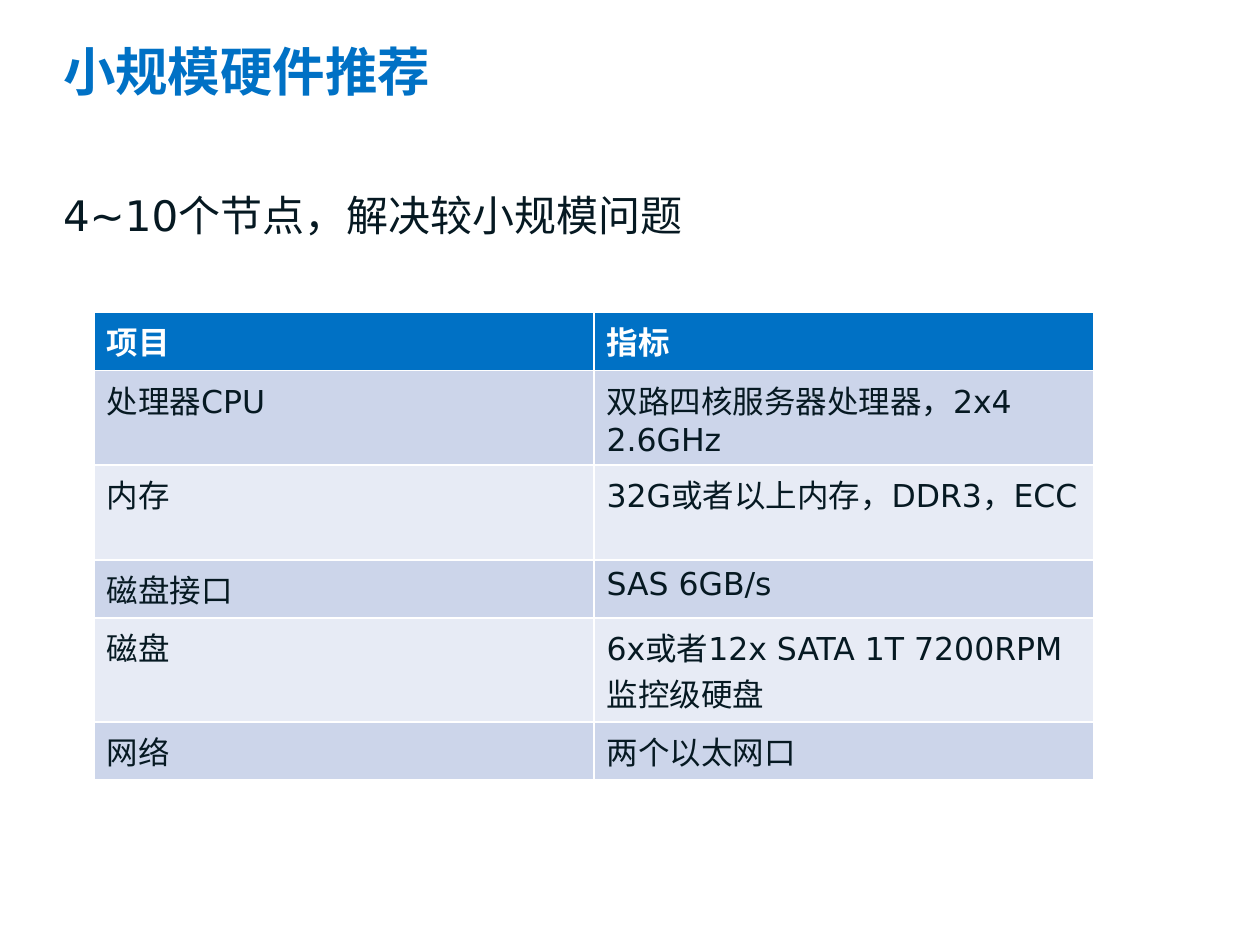
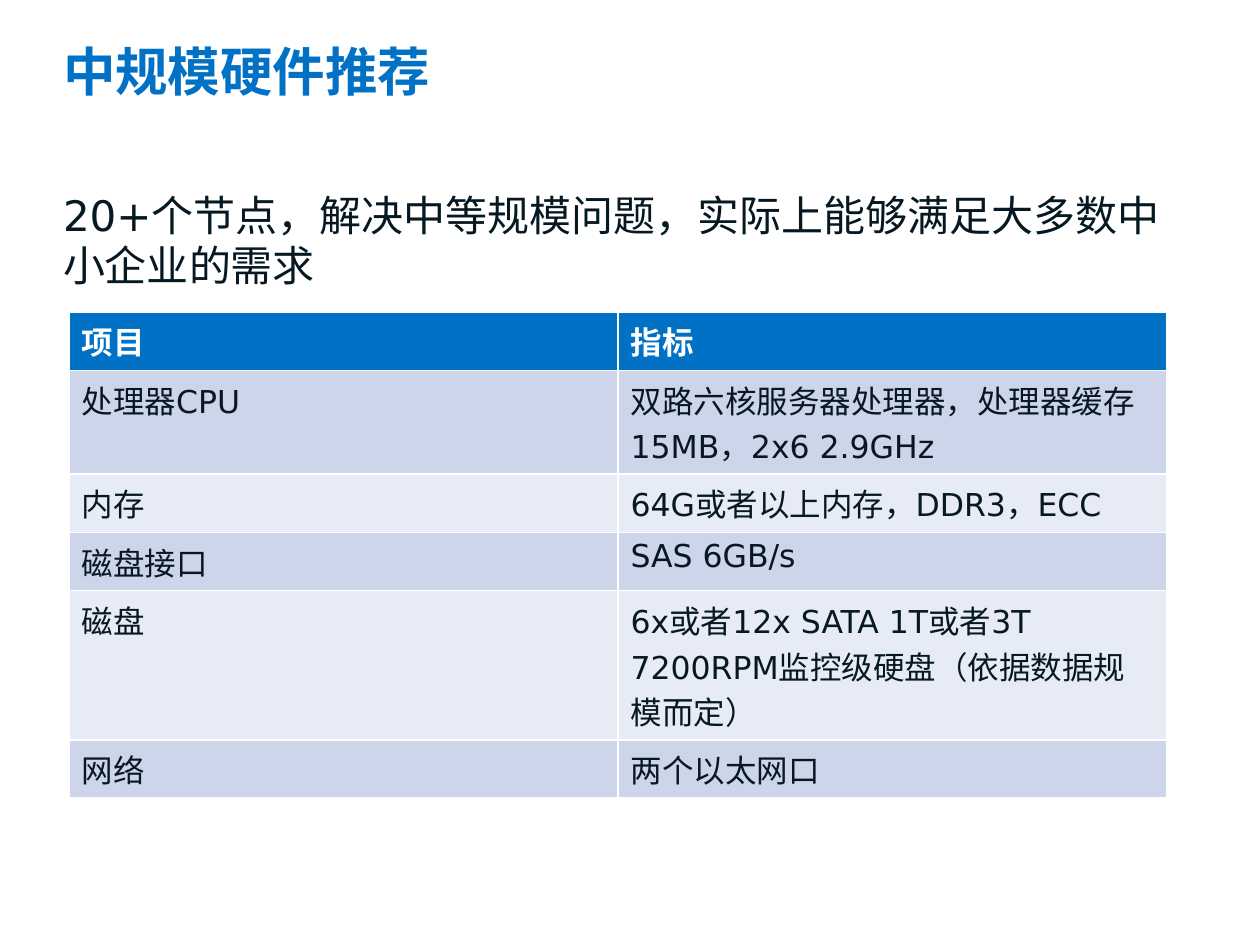
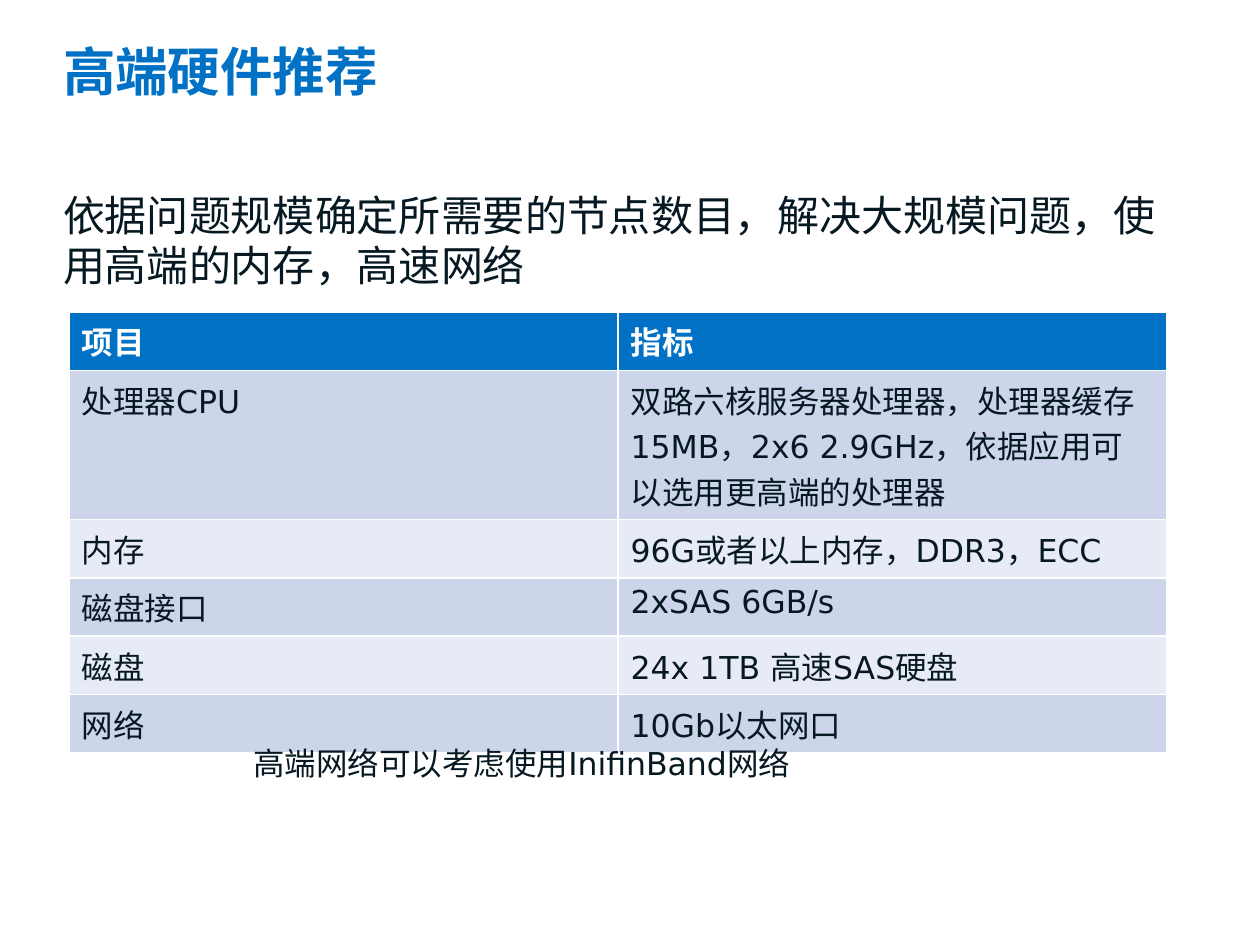
"""Build three slides of hardware recommendations, each with a specification table."""
from pptx import Presentation
from pptx import util as u
from pptx.dml.color import RGBColor
from pptx.enum import text
from pptx.oxml.ns import qn

EMU_PER_PX = 914400 / 126
BLUE, INK, WHITE = "0071C5", "061922", "FFFFFF"
BANDS = ["CCD5EA", "E7EBF5"]
FONT = "DejaVu Sans"
ITEMS = ["处理器CPU", "内存", "磁盘接口", "磁盘", "网络"]
ROW_HEIGHT = 52
TABLE_TOP = 312


def px(length):
    return u.Emu(round(length * EMU_PER_PX))


def color(value):
    return RGBColor.from_string(value)


class Deck:
    def __init__(self):
        self.prs = Presentation()
        self.prs.slide_width, self.prs.slide_height = px(1260), px(945)
        self.slide = None

    def new_slide(self):
        self.slide = self.prs.slides.add_slide(self.prs.slide_layouts[1])

    def style(self, paragraph, size, ink=INK, bold=False):
        font = paragraph.font
        font.name, font.size, font.bold = FONT, u.Pt(size), bold
        font.color.rgb = color(ink)

    def east_asian(self, paragraph):
        for run in paragraph.runs:
            properties = run._r.get_or_add_rPr()
            properties.makeelement(qn("a:ea"), {})
            properties.append(properties.makeelement(qn("a:ea"), {"typeface": FONT}))

    def fill_placeholder(self, index, words, top, height):
        holder = self.slide.placeholders[index]
        holder.left, holder.top, holder.width, holder.height = map(px, (63, top, 1134, height))
        frame = holder.text_frame
        frame.text = words
        frame.word_wrap = True
        frame.auto_size = text.MSO_AUTO_SIZE.NONE
        frame.vertical_anchor = text.MSO_ANCHOR.TOP
        frame.margin_left = frame.margin_top = frame.margin_right = frame.margin_bottom = 0
        paragraph = frame.paragraphs[0]
        paragraph.alignment = text.PP_ALIGN.LEFT
        return paragraph

    def title(self, words):
        heading = self.fill_placeholder(0, words, 57, 122)
        heading.line_spacing = u.Pt(26)
        self.style(heading, 30, BLUE, True)

    def summary(self, words):
        sentence = self.fill_placeholder(1, words, 189, 91)
        sentence.space_before = u.Pt(22)
        self.style(sentence, 24)
        self.east_asian(sentence)
        properties = sentence._p.get_or_add_pPr()
        properties.set("marL", "0")
        properties.set("indent", "0")
        properties.append(properties.makeelement(qn("a:buNone"), {}))

    def table(self, left, width, specs):
        rows = [("项目", "指标"), *zip(ITEMS, specs)]
        grid = self.slide.shapes.add_table(
            len(rows), 2, px(left), px(TABLE_TOP), px(width), px(ROW_HEIGHT * len(rows))).table
        for r, row in enumerate(rows):
            header = r == 0
            for c, words in enumerate(row):
                cell = grid.cell(r, c)
                cell.text = words
                cell.fill.solid()
                cell.fill.fore_color.rgb = color(BLUE if header else BANDS[(r - 1) % 2])
                self.style(cell.text_frame.paragraphs[0], 18, WHITE if header else INK, header)

    def note(self, words, left, top, width, height):
        frame = self.slide.shapes.add_textbox(*map(px, (left, top, width, height))).text_frame
        frame.word_wrap = True
        frame.text = words
        self.style(frame.paragraphs[0], 18)
        self.east_asian(frame.paragraphs[0])


RECOMMENDATIONS = [
    ("小规模硬件推荐", "4~10个节点，解决较小规模问题", 94, 1000,
     ["双路四核服务器处理器，2x4 2.6GHz", "32G或者以上内存，DDR3，ECC", "SAS 6GB/s",
      "6x或者12x SATA 1T 7200RPM监控级硬盘", "两个以太网口"]),
    ("中规模硬件推荐", "20+个节点，解决中等规模问题，实际上能够满足大多数中小企业的需求", 69, 1098,
     ["双路六核服务器处理器，处理器缓存15MB，2x6 2.9GHz", "64G或者以上内存，DDR3，ECC", "SAS 6GB/s",
      "6x或者12x SATA 1T或者3T 7200RPM监控级硬盘（依据数据规模而定）", "两个以太网口"]),
    ("高端硬件推荐", "依据问题规模确定所需要的节点数目，解决大规模问题，使用高端的内存，高速网络", 69, 1098,
     ["双路六核服务器处理器，处理器缓存15MB，2x6 2.9GHz，依据应用可以选用更高端的处理器",
      "96G或者以上内存，DDR3，ECC", "2xSAS 6GB/s", "24x 1TB 高速SAS硬盘", "10Gb以太网口"]),
]


def main():
    deck = Deck()
    for heading, summary, left, width, specs in RECOMMENDATIONS:
        deck.new_slide()
        deck.title(heading)
        deck.summary(summary)
        deck.table(left, width, specs)
    deck.note("高端网络可以考虑使用InifinBand网络", 241, 738, 571, 50)
    deck.prs.save("out.pptx")


if __name__ == "__main__":
    main()
